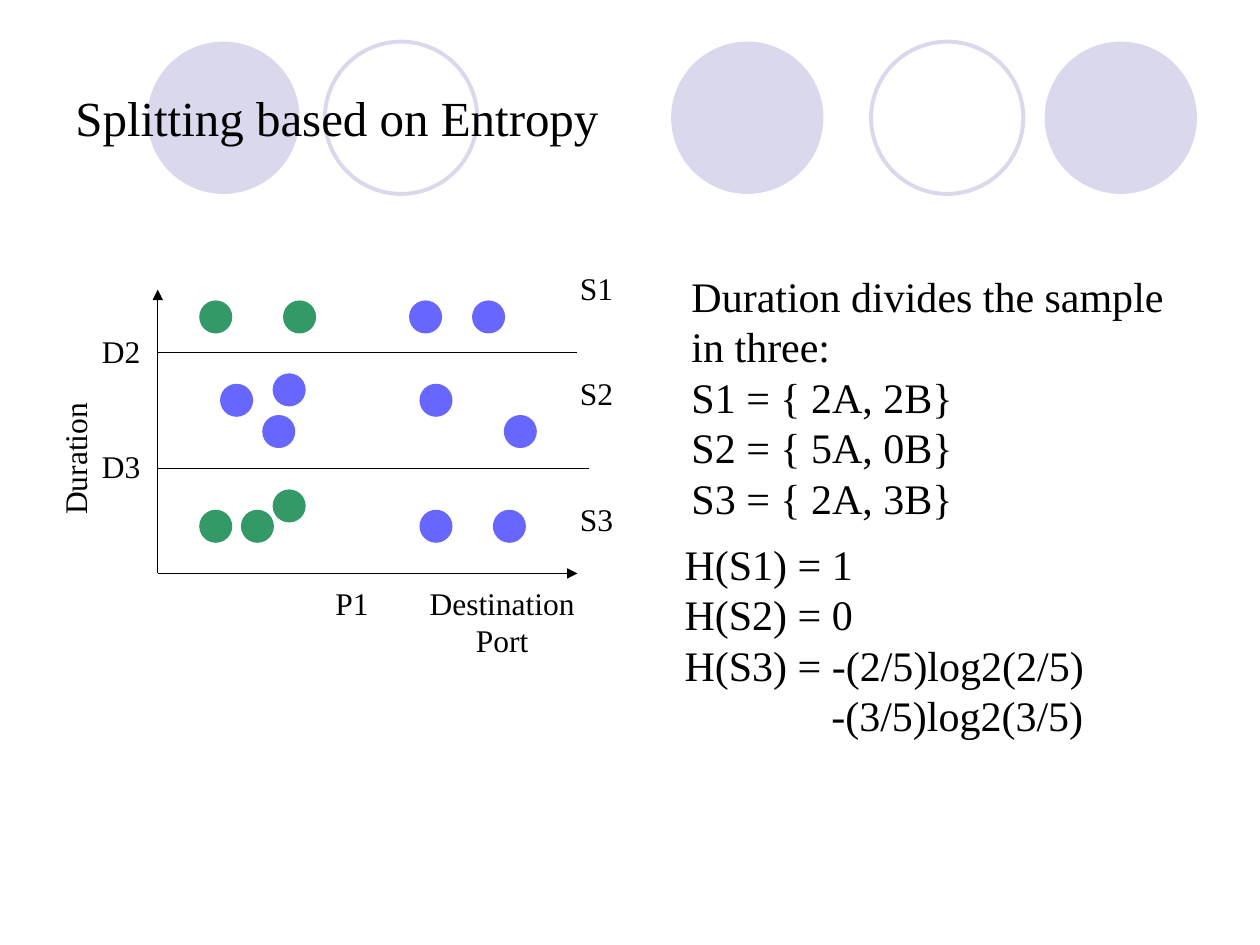
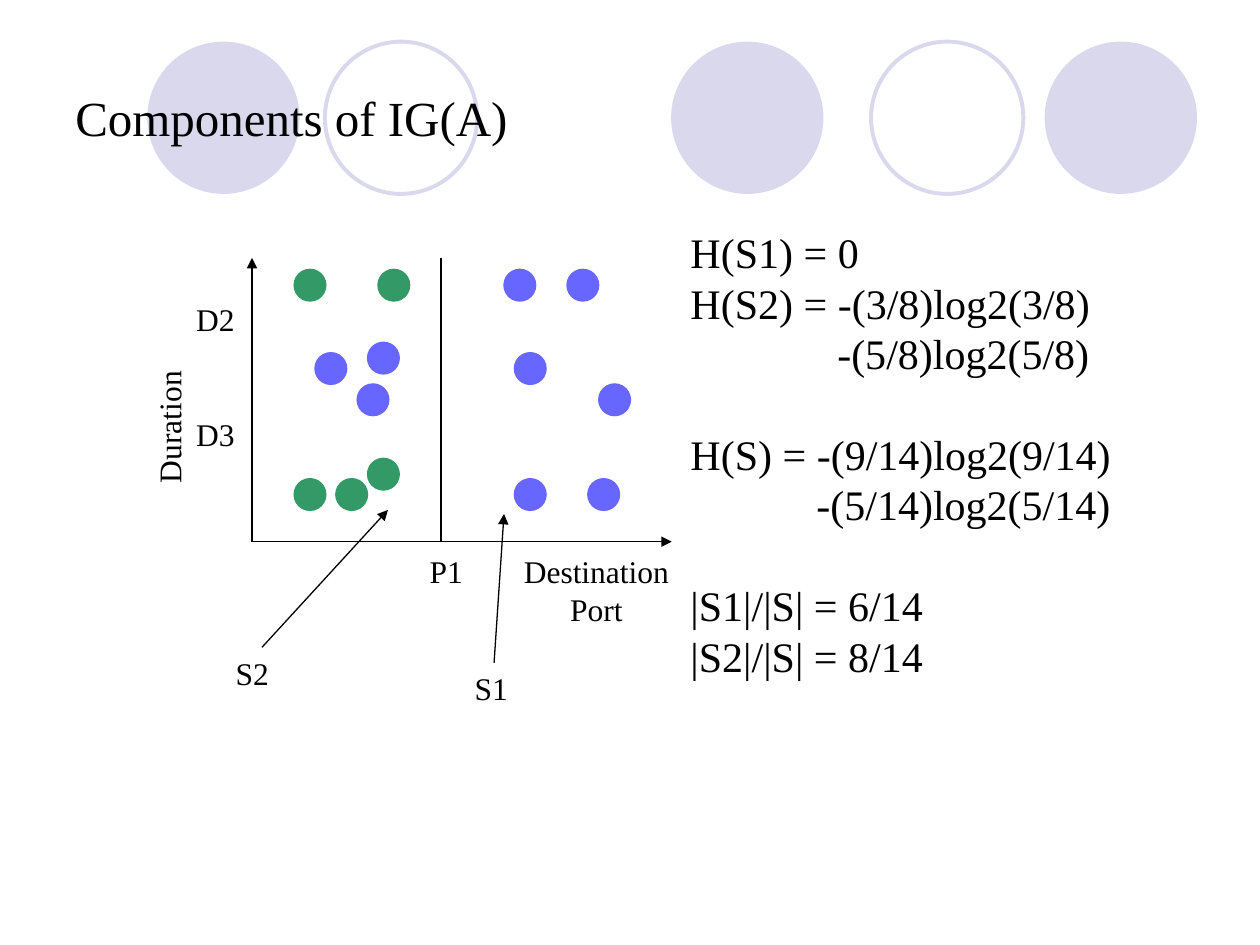
import pptx
import pptx.dml.color
import pptx.enum.shapes
import pptx.enum.text
import pptx.oxml.ns
import pptx.util
from lxml import etree

Cm, Pt = pptx.util.Cm, pptx.util.Pt
RGBColor = pptx.dml.color.RGBColor
OVAL = pptx.enum.shapes.MSO_SHAPE.OVAL
STRAIGHT = pptx.enum.shapes.MSO_CONNECTOR.STRAIGHT
LEFT = pptx.enum.text.PP_ALIGN.LEFT
CENTER = pptx.enum.text.PP_ALIGN.CENTER
MIDDLE = pptx.enum.text.MSO_ANCHOR.MIDDLE
qn = pptx.oxml.ns.qn

BLACK = RGBColor(0x00, 0x00, 0x00)
LAVENDER = RGBColor(0xD9, 0xD8, 0xEC)
GREEN = RGBColor(0x33, 0x99, 0x66)
BLUE = RGBColor(0x67, 0x67, 0xFF)
FONT = "Times New Roman"

CIRCLES = [(2.97, True), (6.55, False), (13.53, True), (17.56, False), (21.06, True)]
CIRCLE_SIZE = 3.07
DOT_SIZE = 0.64
AXIS_X, AXIS_Y = 8.46, 5.72

DOTS = {
    GREEN: [(0.85, 5.49), (2.54, 5.49), (2.33, 1.68), (0.85, 1.27), (1.69, 1.27)],
    BLUE: [(1.27, 3.81), (2.33, 4.02), (2.12, 3.18), (5.08, 5.49), (6.35, 5.49),
           (5.29, 3.81), (6.99, 3.18), (5.29, 1.27), (6.77, 1.27)],
}
AXES = [(0, 0, 0, AXIS_Y, True), (0, 0, AXIS_X, 0, True)]
AXIS_LABELS = [
    (["Destination", "Port"], 5.08, -0.08, 3.73),
    (["P1"], 3.18, -0.08, 1.47),
    (["D2"], -1.52, 5.0, 1.57),
    (["D3"], -1.52, 2.67, 1.57),
]

SLIDES = [
    {
        "title": "Splitting based on Entropy",
        "origin": (3.18, 11.56),
        "lines": [(0, 4.45, AXIS_X, 4.45, False), (0, 2.11, 8.69, 2.11, False)],
        "regions": [("S1", 8.26, 6.27), ("S2", 8.26, 4.14), ("S3", 8.26, 1.6)],
        "notes": [
            (13.69, 5.33, 5.33, [
                ("Duration divides the sample", 0, 0),
                ("in three:", 0, 0),
                ("S1 = { 2A, 2B}", 0, 0),
                ("S2 = { 5A, 0B}", 0, 0),
                ("S3 = { 2A, 3B}", 0, 0),
            ]),
            (13.55, 10.73, 4.32, [
                ("H(S1) = 1", 0, 0),
                ("H(S2) = 0", 0, 0),
                ("H(S3) = -(2/5)log2(2/5)", 0, 0),
                ("-(3/5)log2(3/5)", 2.96, 0),
            ]),
        ],
    },
    {
        "title": "Components of IG(A)",
        "origin": (5.08, 10.92),
        "lines": [
            (3.81, AXIS_Y, 3.81, 0, False),
            (0.2, -2.13, 2.74, 0.64, True),
            (4.88, -2.44, 5.08, 0.56, True),
        ],
        "regions": [("S1", 4.24, -2.44), ("S2", -0.58, -2.13)],
        "notes": [
            (13.67, 4.45, 9.4, [
                ("H(S1) = 0", 0, 0),
                ("H(S2) = -(3/8)log2(3/8)", 0, 0),
                ("-(5/8)log2(5/8)", 2.96, 0),
                ("H(S) = -(9/14)log2(9/14)", 0, 28.8),
                ("-(5/14)log2(5/14)", 2.54, 0),
                ("|S1|/|S| = 6/14", 0, 28.8),
                ("|S2|/|S| = 8/14", 0, 0),
            ]),
        ],
    },
]


def add_text(s, rows, x, y, w, h, size=18, align=LEFT):
    sp = s.shapes.add_textbox(Cm(x), Cm(y), Cm(w), Cm(h))
    tf = sp.text_frame
    tf.word_wrap = True
    for i, (text, indent, before) in enumerate(rows):
        p = tf.paragraphs[0] if i == 0 else tf.add_paragraph()
        p.text = text
        p.alignment = align
        p.line_spacing = Pt(size * 1.2)
        if indent:
            p._p.get_or_add_pPr().set("marL", str(Cm(indent)))
        if before:
            p.space_before = Pt(before)
        p.font.name = FONT
        p.font.size = Pt(size)
        p.font.color.rgb = BLACK
    return sp


def add_oval(s, x, y, size, color, width, filled=True):
    sp = s.shapes.add_shape(OVAL, Cm(x), Cm(y), Cm(size), Cm(size))
    sp.shadow.inherit = False
    if filled:
        sp.fill.solid()
        sp.fill.fore_color.rgb = color
    else:
        sp.fill.background()
    if width:
        sp.line.color.rgb = color
        sp.line.width = Pt(width)
    else:
        sp.line.fill.background()


prs = pptx.Presentation()
prs.slide_width, prs.slide_height = Cm(25.4), Cm(19.05)

for page in SLIDES:
    s = prs.slides.add_slide(prs.slide_layouts[6])
    for x, filled in CIRCLES:
        add_oval(s, x, 0.84, CIRCLE_SIZE, LAVENDER, 0 if filled else 2.25, filled)
    title = add_text(s, [(page["title"], 0, 0)], 1.27, 0.76, 22.86, 3.18, 28)
    title.text_frame.vertical_anchor = MIDDLE

    ox, oy = page["origin"]
    for x1, y1, x2, y2, arrow in AXES + page["lines"]:
        c = s.shapes.add_connector(STRAIGHT, Cm(ox + x1), Cm(oy - y1), Cm(ox + x2), Cm(oy - y2))
        c.line.color.rgb = BLACK
        c.line.width = Pt(0.75)
        spPr = c._element.spPr
        if arrow:
            etree.SubElement(spPr.find(qn("a:ln")), qn("a:tailEnd"), type="triangle")
        etree.SubElement(spPr, qn("a:effectLst"))

    for color, places in DOTS.items():
        for x, y in places:
            add_oval(s, ox + x, oy - y, DOT_SIZE, color, 0.75)

    for words, x, y, w in AXIS_LABELS:
        rows = [(word, 0, 0) for word in words]
        add_text(s, rows, ox + x, oy - y, w, 0.25 + 0.76 * len(rows), align=CENTER)
    duration = add_text(s, [("Duration", 0, 0)], ox - 5.51, oy - 2.82, 7.67, 1.02, align=CENTER)
    duration.rotation = 270
    for name, x, y in page["regions"]:
        add_text(s, [(name, 0, 0)], ox + x, oy - y, 1.47, 1.02)

    for x, y, h, rows in page["notes"]:
        add_text(s, rows, x, y, 10.9, h, 24)

prs.save("out.pptx")
